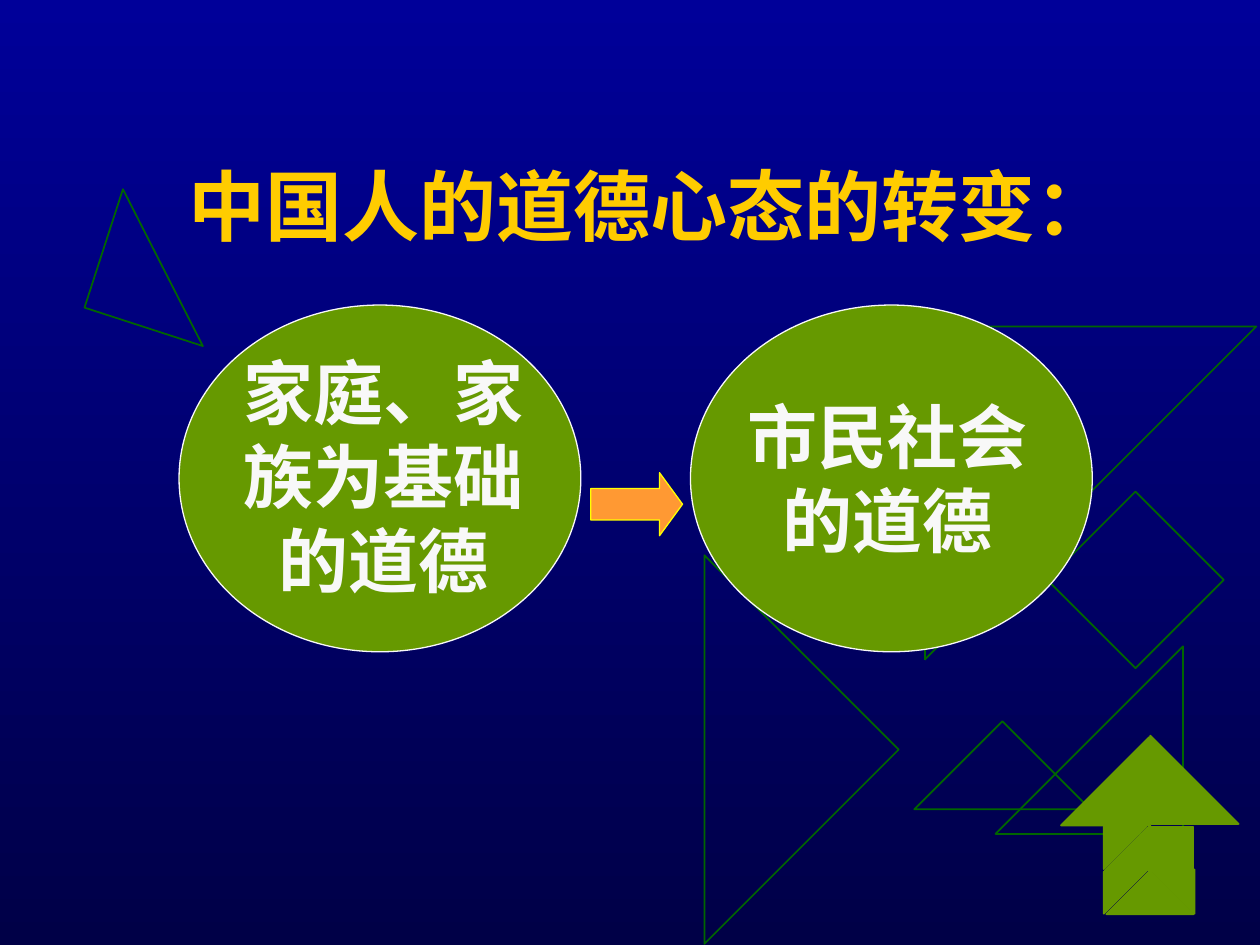
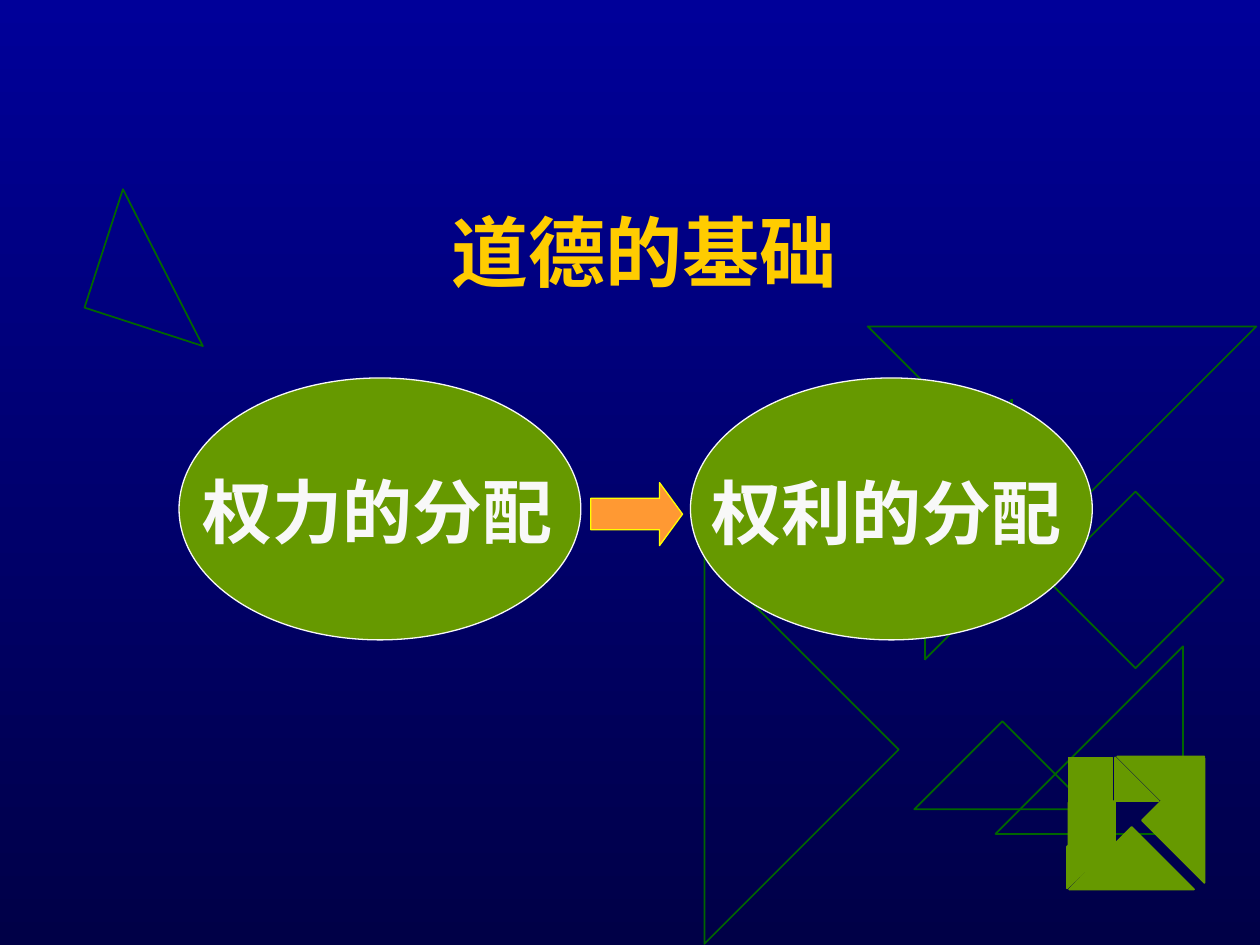
"""Builds two slides on the change of moral outlook."""
from lxml import etree
from pptx import Presentation
from pptx.dml.color import RGBColor as Rgb
from pptx.enum.shapes import MSO_CONNECTOR as Link, MSO_SHAPE as Kind
from pptx.enum.text import MSO_ANCHOR as Anchor, MSO_AUTO_SIZE as Fit, PP_ALIGN as Align
from pptx.oxml.ns import qn
from pptx.util import Cm, Pt

NAVY = Rgb(0x00, 0x00, 0x99)
NIGHT = Rgb(0x00, 0x00, 0x47)
PINE = Rgb(0x00, 0x66, 0x00)
LEAF = Rgb(0x66, 0x99, 0x00)
GOLD = Rgb(0xFF, 0xCC, 0x00)
AMBER = Rgb(0xFF, 0x99, 0x33)
LEMON = Rgb(0xFF, 0xFF, 0x00)
WHITE = Rgb(0xF8, 0xF8, 0xF8)
HAN = "Noto Sans CJK SC"
LEFT, RIGHT = 3.61, 13.92

DECOR = [
    (2.03, 4.14, 2.51, 18),
    (18.95, 15.06, 2.51, 135),
    (20.07, 13.03, 3.78, 270),
    (11.43, 12.34, 5.54, 225),
    (15.7, 9.4, 2.51, 45),
    (18.64, 3.81, 5.54, 315),
]
BAND = [(20.4, 8.05), (20.4, 11.53), (18.64, 13.3), (18.64, 9.8)]

UP = dict(
    block=(23.16, 16.66, 0.89, 0.91),
    wings=[
        (22.56, 17.81, 1.24, 135),
        (23.19, 14.83, 1.78, 0),
        (21.39, 14.86, 1.78, 270),
        (23.19, 17.53, 0.89, 180),
        (22.25, 16.66, 0.86, 90),
    ],
    fold=[(22.25, 18.42), (23.19, 17.48), (23.19, 16.64), (22.25, 17.58)],
)
BACK = dict(
    block=(21.54, 15.27, 0.89, 0.91),
    wings=[
        (23.39, 15.65, 1.78, 45),
        (22.78, 14.63, 1.24, 315),
        (21.92, 17.04, 1.78, 135),
        (22.48, 15.27, 0.88, 0),
        (21.54, 16.18, 0.86, 90),
    ],
    fold=[(21.51, 17.91), (22.48, 16.99), (22.48, 16.13), (21.51, 17.07)],
)


def write(frame, text, size=40, color=WHITE, face=HAN, align=Align.CENTER, lead=48):
    frame.word_wrap = True
    frame.auto_size = Fit.NONE
    frame.vertical_anchor = Anchor.TOP
    para = frame.paragraphs[0]
    para.alignment = align
    para.line_spacing = Pt(lead)
    para.space_before = Pt(0)
    run = para.add_run()
    run.text = text
    font = run.font
    font.size, font.bold, font.name = Pt(size), True, face
    font.color.rgb = color
    etree.SubElement(run.font._element, qn("a:ea")).set("typeface", HAN)


class Deck:
    def __init__(self):
        self.prs = Presentation()
        self.prs.slide_width, self.prs.slide_height = Cm(25.4), Cm(19.05)
        fill = self.prs.slide_master.background.fill
        fill.gradient()
        fill.gradient_angle = 270
        for stop, color in zip(fill.gradient_stops, (NAVY, NIGHT)):
            stop.color.rgb = color

    def page(self, text, box, **style):
        self.slide = self.prs.slides.add_slide(self.prs.slide_layouts[5])
        self.shapes = self.slide.shapes
        self.decor()
        self.title(text, box, **style)

    def title(self, text, box, pad=0.25, **style):
        head = self.shapes.title
        head.left, head.top, head.width, head.height = map(Cm, box)
        head.text_frame.margin_left = Cm(pad)
        write(head.text_frame, text, size=44, color=GOLD,
              face="Times New Roman", **style)

    def paint(self, shape, fill, line, width):
        shape.shadow.inherit = False
        if fill is None:
            shape.fill.background()
        else:
            shape.fill.solid()
            shape.fill.fore_color.rgb = fill
        shape.line.color.rgb = line
        shape.line.width = Pt(width)

    def shape(self, kind, box, fill=None, line=PINE, width=1, turn=0):
        item = self.shapes.add_shape(kind, *map(Cm, box))
        item.rotation = turn
        self.paint(item, fill, line, width)
        return item

    def wedge(self, x, y, side, turn, **style):
        self.shape(Kind.RIGHT_TRIANGLE, (x, y, side, side), turn=turn, **style)

    def line(self, start, end):
        item = self.shapes.add_connector(Link.STRAIGHT, *map(Cm, start + end))
        item.line.color.rgb = PINE
        item.line.width = Pt(1)
        etree.SubElement(item._element.spPr, qn("a:effectLst"))

    def decor(self):
        for part in DECOR:
            self.wedge(*part)
        self.shape(Kind.DIAMOND, (21.11, 9.91, 3.56, 3.56))
        for start, end in zip(BAND, BAND[1:] + BAND[:1]):
            self.line(start, end)

    def oval(self, x, top, height):
        self.shape(Kind.OVAL, (x, top, 8.1, height), LEAF, WHITE, 0.75)

    def arrow(self, top):
        item = self.shape(Kind.RIGHT_ARROW, (11.91, top, 1.85, 1.27),
                          AMBER, LEMON, 0.75)
        item.adjustments[1] = 0.365

    def label(self, text, box, **style):
        write(self.shapes.add_textbox(*map(Cm, box)).text_frame, text, **style)

    def emblem(self, block, wings, fold):
        self.shape(Kind.RECTANGLE, block, LEAF, LEAF)
        for part in wings:
            self.wedge(*part, fill=LEAF, line=LEAF)
        start, *rest = [(Cm(x), Cm(y)) for x, y in fold]
        path = self.shapes.build_freeform(*start)
        path.add_line_segments(rest, close=True)
        self.paint(path.convert_to_shape(), LEAF, LEAF, 1)


def main():
    deck = Deck()

    deck.page("中国人的道德心态的转变：", (0.43, 2.97, 24.13, 13.77), pad=1.5, lead=55.5)
    deck.oval(LEFT, 6.15, 6.99)
    deck.arrow(9.53)
    deck.label("家庭、家族为基础的道德", (4.45, 6.93, 6.55, 5.33))
    deck.oval(RIGHT, 6.15, 6.99)
    deck.label("市民社会的道德", (14.61, 7.8, 6.55, 3.66))
    deck.emblem(**UP)

    deck.page("道德的基础", (2.34, 3.73, 21.29, 3.61), lead=60.5)
    deck.oval(LEFT, 7.62, 5.28)
    deck.arrow(9.73)
    deck.label("权力的分配", (3.58, 9.32, 8.05, 1.96), face="Arial")
    deck.oval(RIGHT, 7.62, 5.28)
    deck.label("权利的分配", (14.1, 9.35, 7.95, 1.96), face="Arial", align=Align.LEFT)
    deck.emblem(**BACK)

    deck.prs.save("out.pptx")


if __name__ == "__main__":
    main()
